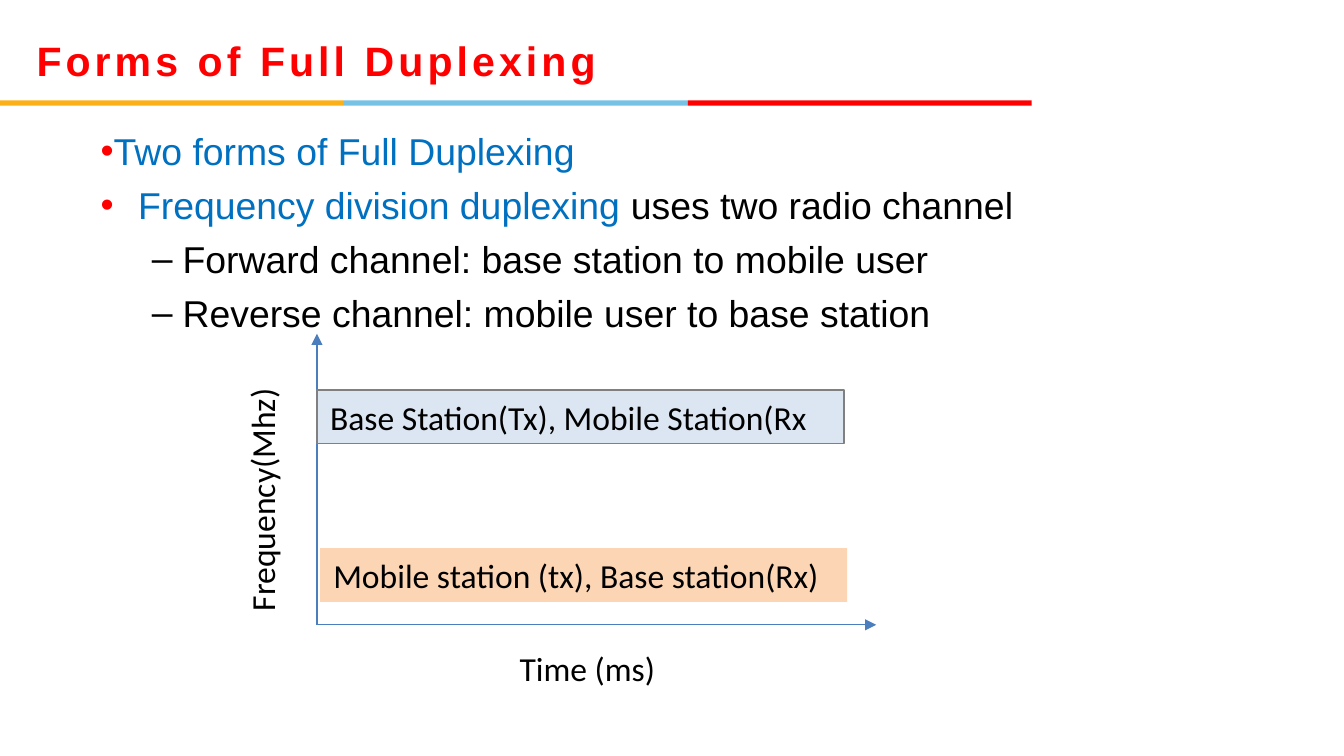
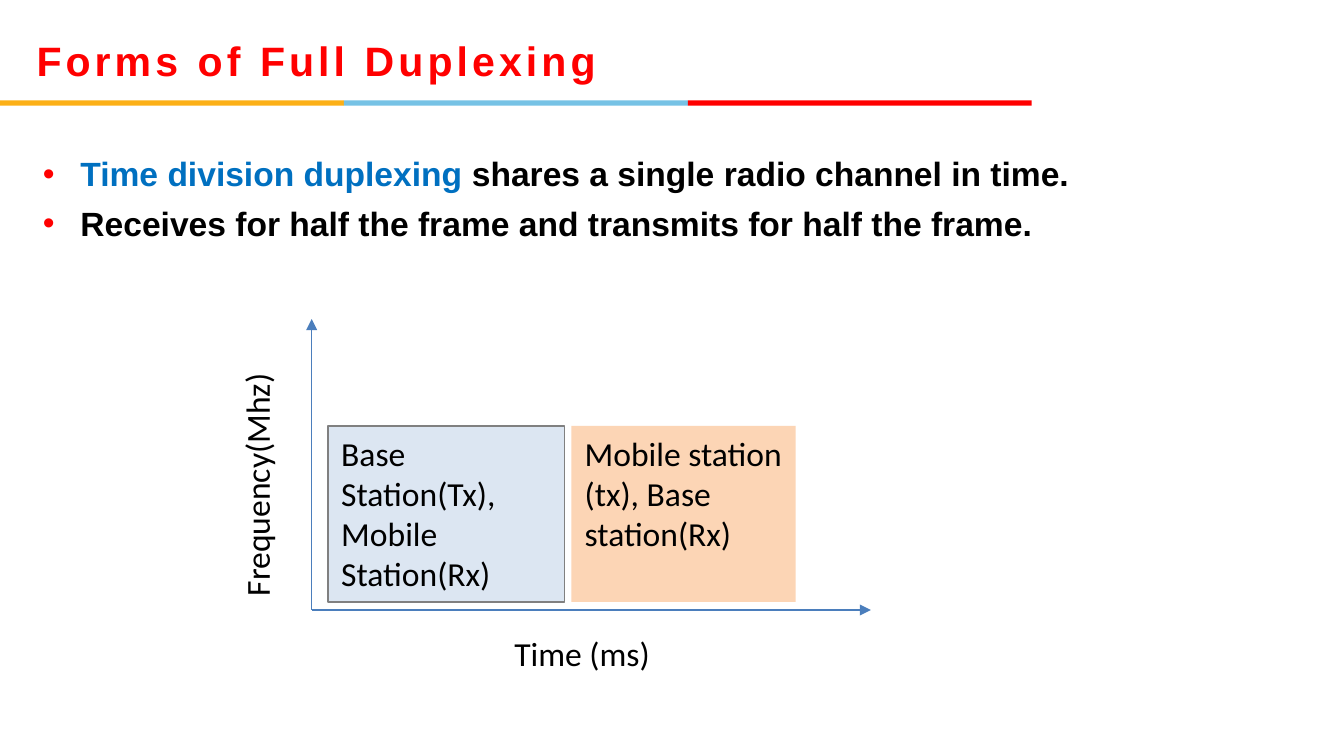
"""Build two slides on the forms of full duplexing."""
from lxml import etree
from pptx import Presentation
from pptx.dml.color import RGBColor
from pptx.enum.shapes import MSO_CONNECTOR, MSO_SHAPE
from pptx.enum.text import MSO_ANCHOR, MSO_AUTO_SIZE, PP_ALIGN
from pptx.oxml.ns import qn
from pptx.util import Cm, Pt

RED, BLUE, BLACK = "FF0000", "0070C0", "000000"
BANDS = ["FCB017", "76C2E5", RED]
AXIS, BASE_FILL, BASE_LINE, MOBILE_FILL = "4B7EBC", "DCE6F2", "808080", "FCD5B5"
BAND_W = 6.5
TITLE = "Forms of Full Duplexing"


def rgb(hex_color):
    return RGBColor.from_string(hex_color)


def add_run(p, text, size, color, font="Arial", bold=False):
    r = p.add_run()
    r.text = text
    r.font.name, r.font.size, r.font.bold = font, Pt(size), bold
    r.font.color.rgb = rgb(color)
    return r


def place(sp, box):
    sp.left, sp.top, sp.width, sp.height = [Cm(v) for v in box]


def add_rect(s, box, fill, line=None):
    sp = s.shapes.add_shape(MSO_SHAPE.RECTANGLE, *[Cm(v) for v in box])
    sp.shadow.inherit = False
    sp.fill.solid()
    sp.fill.fore_color.rgb = rgb(fill)
    if line:
        sp.line.color.rgb = rgb(line)
        sp.line.width = Pt(0.75)
    else:
        sp.line.fill.background()
    return sp


def write_label(sp, text):
    tf = sp.text_frame
    tf.word_wrap = True
    tf.auto_size = MSO_AUTO_SIZE.SHAPE_TO_FIT_TEXT
    tf.vertical_anchor = MSO_ANCHOR.TOP
    p = tf.paragraphs[0]
    p.alignment = PP_ALIGN.LEFT
    add_run(p, text, 18, BLACK, "Calibri")


def add_label(s, box, text, rotation=0):
    sp = s.shapes.add_textbox(*[Cm(v) for v in box])
    sp.rotation = rotation
    write_label(sp, text)


def add_block(s, box, text, fill, line=None):
    write_label(add_rect(s, box, fill, line), text)


def add_arrow(s, x1, y1, x2, y2):
    c = s.shapes.add_connector(MSO_CONNECTOR.STRAIGHT, Cm(x1), Cm(y1), Cm(x2), Cm(y2))
    c.line.color.rgb = rgb(AXIS)
    c.line.width = Pt(0.75)
    etree.SubElement(c.get_or_add_ln(), qn("a:tailEnd"), type="triangle")
    etree.SubElement(c.element.spPr, qn("a:effectLst"))


def add_axes(s, x, y):
    add_arrow(s, x, y, x, y - 5.5)
    add_arrow(s, x, y, x + 10.57, y)
    add_label(s, (x + 3.58, y + 0.31, 5.08, 1.02), "Time (ms)")
    add_label(s, (x - 3.58, y - 3.06, 5.08, 1.02), "Frequency(Mhz)", 270)


def add_title(s):
    place(s.shapes.title, (0.69, 0.33, 18.16, 1.63))
    tf = s.shapes.title.text_frame
    tf.auto_size = MSO_AUTO_SIZE.NONE
    tf.vertical_anchor = MSO_ANCHOR.MIDDLE
    tf.margin_left = tf.margin_right = tf.margin_top = tf.margin_bottom = 0
    p = tf.paragraphs[0]
    p.alignment = PP_ALIGN.LEFT
    r = add_run(p, TITLE, 22, RED, bold=True)
    r.font.element.set("spc", "220") if hasattr(r.font, "element") else r._r.get_or_add_rPr().set("spc", "220")


def set_bullet(p, char, color, margin, indent):
    pPr = p._p.get_or_add_pPr()
    pPr.set("marL", str(Cm(margin)))
    pPr.set("indent", str(Cm(indent)))
    clr = etree.SubElement(pPr, qn("a:buClr"))
    etree.SubElement(clr, qn("a:srgbClr"), val=color)
    etree.SubElement(pPr, qn("a:buFont"), typeface="Arial")
    etree.SubElement(pPr, qn("a:buChar"), char=char)


def add_list(s, box, items, size, bold=False):
    body = s.placeholders[1]
    place(body, box)
    tf = body.text_frame
    tf.auto_size = MSO_AUTO_SIZE.NONE
    tf.margin_left = tf.margin_right = 0
    for i, (level, margin, indent, runs) in enumerate(items):
        p = tf.paragraphs[0] if i == 0 else tf.add_paragraph()
        p.level = level
        set_bullet(p, "–" if level else "•", BLACK if level else RED, margin, indent)
        p.alignment = PP_ALIGN.LEFT if level else PP_ALIGN.JUSTIFY
        p.space_before = Pt(5 if i else 0)
        for text, color in runs:
            add_run(p, text, size, color, bold=bold)


def add_bands(s, layout):
    for ph in list(layout.placeholders)[2:]:
        layout.shapes.element.remove(ph.element)
    for i, color in enumerate(BANDS):
        band = add_rect(s, (i * BAND_W, 1.9, BAND_W, 0.1), color)
        layout.shapes.element.append(band.element)


def frequency_slide(s):
    add_title(s)
    add_list(s, (1.9, 2.29, 22.86, 11.48), [
        (0, 0, 0, [("Two forms of Full Duplexing", BLUE)]),
        (0, 0.71, -0.71, [("Frequency division duplexing ", BLUE),
                          ("uses two radio channel", BLACK)]),
        (1, 1.55, -0.58, [("Forward channel: base station to mobile user", BLACK)]),
        (1, 1.55, -0.58, [("Reverse channel: mobile user to base station", BLACK)]),
    ], 20)
    add_axes(s, 5.99, 11.81)
    add_block(s, (5.99, 7.37, 9.96, 1.02), "Base Station(Tx), Mobile Station(Rx",
              BASE_FILL, BASE_LINE)
    add_block(s, (6.05, 10.36, 9.96, 1.02), "Mobile station (tx), Base station(Rx)",
              MOBILE_FILL)


def time_slide(s):
    add_title(s)
    add_list(s, (0.81, 2.77, 22.86, 2.52), [
        (0, 0.71, -0.71, [("Time division duplexing", BLUE),
                          (" shares a single radio channel in time.", BLACK)]),
        (0, 0.71, -0.71, [("Receives for half the frame and transmits for half the frame.",
                           BLACK)]),
    ], 18, bold=True)
    add_axes(s, 5.89, 11.53)
    add_block(s, (6.2, 8.05, 4.47, 3.33), "Base Station(Tx), Mobile Station(Rx)",
              BASE_FILL, BASE_LINE)
    add_block(s, (10.8, 8.05, 4.24, 3.33), "Mobile station (tx), Base station(Rx)",
              MOBILE_FILL)


def main():
    prs = Presentation()
    prs.slide_width, prs.slide_height = Cm(25.4), Cm(14.29)
    layout = prs.slide_layouts[1]
    first, second = [prs.slides.add_slide(layout) for _ in range(2)]
    add_bands(first, layout)
    frequency_slide(first)
    time_slide(second)
    prs.save("out.pptx")


if __name__ == "__main__":
    main()
